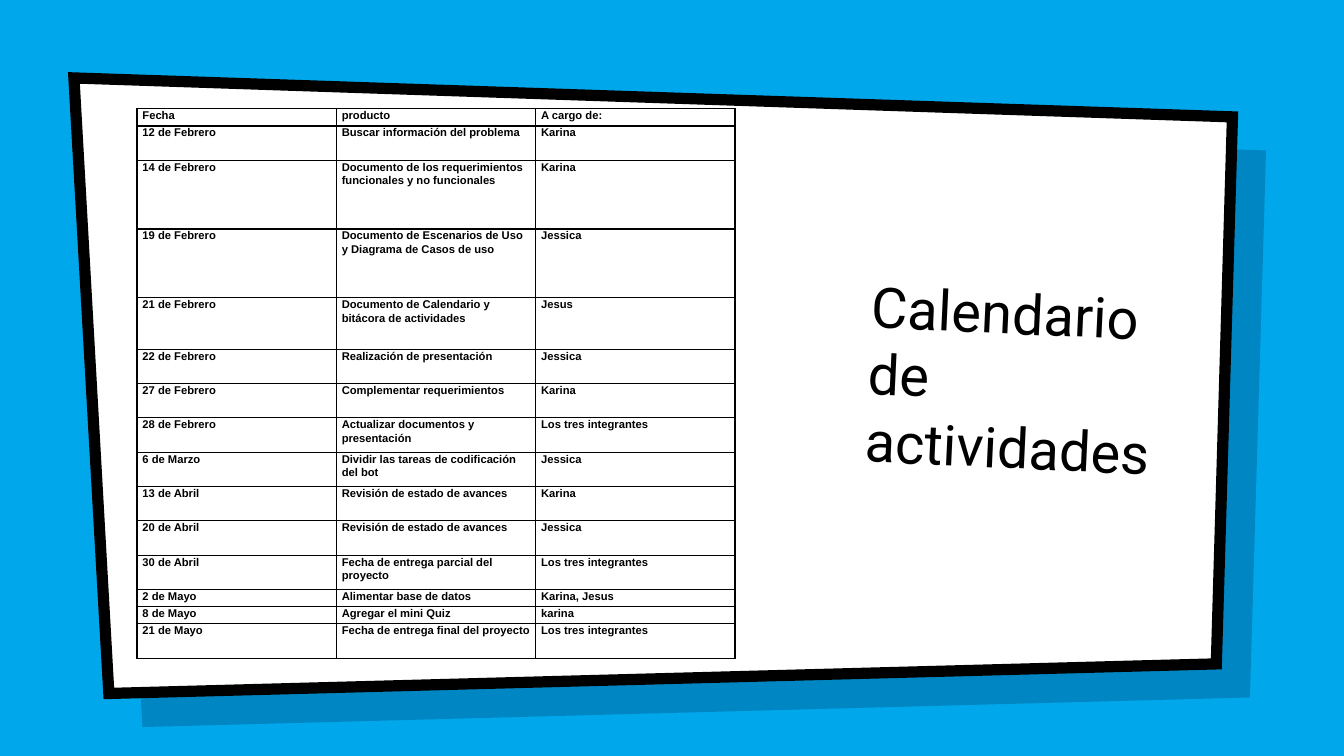
from dataclasses import dataclass

from lxml import etree
from pptx import Presentation
from pptx.dml.color import RGBColor
from pptx.enum.text import MSO_ANCHOR, MSO_AUTO_SIZE, PP_ALIGN
from pptx.oxml.ns import qn
from pptx.util import Inches, Pt

BOTTOM = MSO_ANCHOR.BOTTOM
TOP = MSO_ANCHOR.TOP
LEFT = PP_ALIGN.LEFT
NO_AUTOFIT = MSO_AUTO_SIZE.NONE
TITLE_ONLY = 5


@dataclass(frozen=True)
class Theme:
    """Colours, fonts and sizes of the slide."""
    background: str = "00A7EB"
    panel: str = "FFFFFF"
    ink: str = "000000"
    shadow: str = "001936"
    shadow_opacity: int = 22
    title_font: str = "Roboto"
    table_font: str = "Arial"
    title_size: float = 30
    table_size: float = 6
    frame_width: float = 6
    border_width: float = 0.75


THEME = Theme()

PANEL_BOX = (0.55, 0.58, 8.62, 4.58)
SHADOW_OFFSET = 0.25
PANEL_CORNERS = [(0, 0), (8.62, 0.29), (8.5, 4.36), (0.26, 4.58)]
TITLE_BOX = (6.38, 1.08, 2.33, 2.59)
TITLE_ROTATION = 2.7
TABLE_BOX = (1.02, 0.81, 4.45, 4.09)

# Each entry: relative row height, date, product, person in charge
SCHEDULE = [
    (1, "Fecha", "producto", "A cargo de:"),
    (2, "12 de Febrero", "Buscar información del problema", "Karina"),
    (4, "14 de Febrero",
     "Documento de los requerimientos funcionales y no funcionales", "Karina"),
    (4, "19 de Febrero",
     "Documento de Escenarios de Uso y Diagrama de Casos de uso", "Jessica"),
    (3, "21 de Febrero",
     "Documento de Calendario y bitácora de actividades", "Jesus"),
    (2, "22 de Febrero", "Realización de presentación", "Jessica"),
    (2, "27 de Febrero", "Complementar requerimientos", "Karina"),
    (2, "28 de Febrero", "Actualizar documentos y presentación",
     "Los tres integrantes"),
    (2, "6 de Marzo", "Dividir las tareas de codificación del bot", "Jessica"),
    (2, "13 de Abril", "Revisión de estado de avances", "Karina"),
    (2, "20 de Abril", "Revisión de estado de avances", "Jessica"),
    (2, "30 de Abril", "Fecha de entrega parcial del proyecto",
     "Los tres integrantes"),
    (1, "2 de Mayo", "Alimentar base de datos", "Karina, Jesus"),
    (1, "8 de Mayo", "Agregar el mini Quiz", "karina"),
    (2, "21 de Mayo", "Fecha de entrega final del proyecto",
     "Los tres integrantes"),
]


def color(value):
    """Turn a hex string into a colour."""
    return RGBColor.from_string(value)


def format_runs(paragraph, font_name, size, bold):
    """Apply the text style to every run of a paragraph."""
    for run in paragraph.runs:
        run.font.name = font_name
        run.font.size = Pt(size)
        run.font.bold = bold
        run.font.color.rgb = color(THEME.ink)


def add_slanted_shape(slide, left, top, fill):
    """Draw the slanted four-sided outline from its top left corner."""
    corners = [(Inches(left + x), Inches(top + y)) for x, y in PANEL_CORNERS]
    builder = slide.shapes.build_freeform(*corners[0])
    builder.add_line_segments(corners[1:], close=True)
    shape = builder.convert_to_shape()
    shape.shadow.inherit = False
    shape.fill.solid()
    shape.fill.fore_color.rgb = color(fill)
    return shape


def add_panel(slide, box):
    """Draw the framed white panel over its translucent shadow."""
    left, top = box[:2]
    shadow = add_slanted_shape(
        slide, left + SHADOW_OFFSET, top + SHADOW_OFFSET, THEME.shadow)
    shadow.line.fill.background()
    fill_color = shadow.fill._xPr.find(qn("a:solidFill"))[0]
    etree.SubElement(fill_color, qn("a:alpha"),
                     val=str(THEME.shadow_opacity * 1000))

    panel = add_slanted_shape(slide, left, top, THEME.panel)
    panel.line.color.rgb = color(THEME.ink)
    panel.line.width = Pt(THEME.frame_width)
    etree.SubElement(panel.line._get_or_add_ln(), qn("a:miter"), lim="800000")


def place_title(slide, box):
    """Place the tilted title in front of the panel."""
    title = slide.shapes.title
    slide.shapes._spTree.append(title._element)
    title.left, title.top, title.width, title.height = map(Inches, box)
    title.rotation = TITLE_ROTATION
    frame = title.text_frame
    frame.text = "Calendario de actividades"
    frame.word_wrap = True
    frame.auto_size = NO_AUTOFIT
    frame.vertical_anchor = BOTTOM
    frame.margin_left = frame.margin_right = Inches(0.1)
    frame.margin_top = frame.margin_bottom = Inches(0.1)
    paragraph = frame.paragraphs[0]
    paragraph.alignment = LEFT
    format_runs(paragraph, THEME.title_font, THEME.title_size, False)


def add_borders(cell):
    """Give a cell a thin line on all four sides."""
    properties = cell._tc.get_or_add_tcPr()
    for position, side in enumerate(("lnL", "lnR", "lnT", "lnB")):
        line = etree.Element(qn(f"a:{side}"), w=str(Pt(THEME.border_width)))
        fill = etree.SubElement(line, qn("a:solidFill"))
        etree.SubElement(fill, qn("a:srgbClr"), val=THEME.ink)
        properties.insert(position, line)


def format_cell(cell, text):
    """Write and style one schedule cell."""
    cell.text_frame.text = text
    cell.fill.background()
    cell.vertical_anchor = TOP
    cell.margin_left = cell.margin_right = Inches(0.04)
    cell.margin_top = cell.margin_bottom = 0
    paragraph = cell.text_frame.paragraphs[0]
    paragraph.line_spacing = 1.07
    format_runs(paragraph, THEME.table_font, THEME.table_size, True)
    add_borders(cell)


def add_schedule(slide, box):
    """Fill the box with the activity table."""
    column_count = len(SCHEDULE[0]) - 1
    table = slide.shapes.add_table(
        len(SCHEDULE), column_count, *map(Inches, box)).table
    table.first_row = table.horz_banding = False
    width, height = box[2:]
    for column in table.columns:
        column.width = Inches(width / column_count)
    unit = height / sum(entry[0] for entry in SCHEDULE)
    for row, (units, *texts) in zip(table.rows, SCHEDULE):
        row.height = Inches(units * unit)
        for cell, text in zip(row.cells, texts):
            format_cell(cell, text)


def build_calendar_slide(presentation):
    """Build the slide with the calendar of activities."""
    slide = presentation.slides.add_slide(
        presentation.slide_layouts[TITLE_ONLY])
    slide.background.fill.solid()
    slide.background.fill.fore_color.rgb = color(THEME.background)
    add_panel(slide, PANEL_BOX)
    place_title(slide, TITLE_BOX)
    add_schedule(slide, TABLE_BOX)


presentation = Presentation()
presentation.slide_width = Inches(10)
presentation.slide_height = presentation.slide_width * 9 // 16
build_calendar_slide(presentation)
presentation.save("out.pptx")
